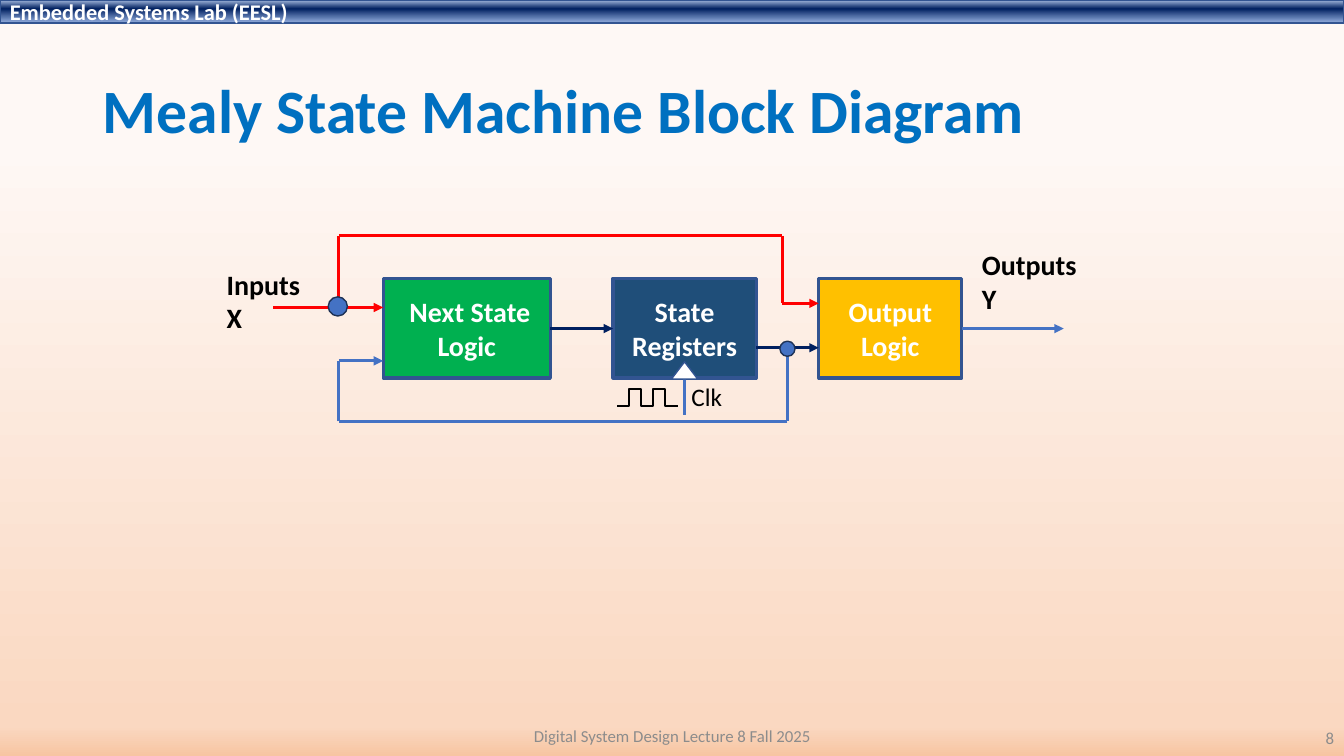
"""Build the Mealy state machine block diagram slide."""
from typing import NamedTuple, Optional

from lxml.etree import SubElement
from pptx import Presentation
from pptx.dml.color import RGBColor
from pptx.enum.shapes import MSO_CONNECTOR, MSO_SHAPE
from pptx.enum.text import MSO_ANCHOR, MSO_AUTO_SIZE, PP_ALIGN
from pptx.oxml.ns import qn
from pptx.util import Inches, Pt

COLUMNS, ROWS = 133.3, 75
SLIDE_WIDTH, SLIDE_HEIGHT = Inches(13.33), Inches(7.5)
FONT = "Calibri"
COLORS = {
    "title": "0070C0", "white": "FFFFFF", "black": "000000", "footer": "8C8C8C",
    "next_state": "00B050", "registers": "1F4E79", "output": "FFC000",
    "outline": "325491", "input_path": "FF0000", "state_path": "002060",
    "feedback": "4472C4", "node_edge": "1E3256",
}
BACKGROUND_STOPS = [(19, "FEF8F5", 97), (96, "FAD8C1", 100), (100, "F7C5A2", 100)]
BANNER_STOPS = [(2, "ABC0E4", 100), (38, "002060", 100), (93, "7E9ED6", 87)]


class Area(NamedTuple):
    column: float
    row: float
    columns: float
    rows: float


class Figure(NamedTuple):
    preset: MSO_SHAPE
    area: Area
    fill: str
    edge: str = "outline"
    edge_width: float = 1
    caption: str = ""


class Wire(NamedTuple):
    points: list
    color: str
    arrow: bool = False
    width: float = 2.25
    route: MSO_CONNECTOR = MSO_CONNECTOR.STRAIGHT


class Label(NamedTuple):
    lines: list
    area: Area
    size: float
    color: str = "black"
    bold: bool = False
    wrap: bool = False
    align: Optional[PP_ALIGN] = None
    anchor: MSO_ANCHOR = MSO_ANCHOR.TOP


LOGIC_ROW, LOGIC_ROWS = 27.6, 9.9
MIDDLE_ROW = 32.6
TAP_COLUMN, STATE_COLUMN = 33.6, 78.1
BYPASS_COLUMN, BYPASS_ROW = 77.6, 23.4
INPUT_ROW, STATE_ROW, FEEDBACK_ROW = 30.5, 34.5, 41.8
PULSE_COLUMN, PULSE_STEP, PULSE_HIGH, PULSE_LOW = 61.2, 1.2, 38.6, 40.3


def logic_block(column: float, columns: float, fill: str, caption: str) -> Figure:
    return Figure(MSO_SHAPE.RECTANGLE, Area(column, LOGIC_ROW, columns, LOGIC_ROWS),
                  fill, edge_width=2.25, caption=caption)


def node(column: float, row: float, size: float) -> Figure:
    return Figure(MSO_SHAPE.OVAL, Area(column - size / 2, row - size / 2, size, size),
                  "feedback", "node_edge")


def pulse_edge(step: int) -> Wire:
    start = PULSE_COLUMN + step * PULSE_STEP
    rows = (PULSE_LOW, PULSE_HIGH) if step % 2 == 0 else (PULSE_HIGH, PULSE_LOW)
    return Wire([(start, rows[0]), (start + 2 * PULSE_STEP, rows[1])],
                "black", width=1.5, route=MSO_CONNECTOR.ELBOW)


LOGIC_BLOCKS = [
    logic_block(38, 16.6, "next_state", " Next State Logic"),
    logic_block(60.8, 14.2, "registers", "State Registers"),
    logic_block(81.2, 14.2, "output", "Output Logic"),
]
WIRES = [
    Wire([(27.1, INPUT_ROW), (38, INPUT_ROW)], "input_path", True),
    Wire([(TAP_COLUMN, INPUT_ROW), (TAP_COLUMN, BYPASS_ROW), (BYPASS_COLUMN, BYPASS_ROW),
          (BYPASS_COLUMN, 30.1), (81.2, 30.1)], "input_path", True),
    Wire([(75, STATE_ROW), (81.2, STATE_ROW)], "state_path", True),
    Wire([(STATE_COLUMN, STATE_ROW), (STATE_COLUMN, FEEDBACK_ROW),
          (TAP_COLUMN, FEEDBACK_ROW), (TAP_COLUMN, 35.8), (38, 35.8)], "feedback", True),
    Wire([(54.6, MIDDLE_ROW), (60.8, MIDDLE_ROW)], "state_path", True),
    Wire([(95.4, MIDDLE_ROW), (105.5, MIDDLE_ROW)], "feedback", True),
    Wire([(67.9, 37.6), (67.9, 41.2)], "feedback"),
    *map(pulse_edge, range(4)),
]
MARKERS = [
    Figure(MSO_SHAPE.ISOSCELES_TRIANGLE, Area(66.6, 35.9, 2.6, 1.7), "white"),
    node(STATE_COLUMN, 34.6, 1.5),
    node(TAP_COLUMN - 0.1, 30.4, 1.9),
]
LABELS = [
    Label(["Inputs", "X"], Area(21.5, 26, 9.4, 7.7), 20, bold=True),
    Label(["Outputs", "Y"], Area(96.4, 24.1, 11.5, 7.7), 20, bold=True),
    Label(["Clk"], Area(67.6, 37.3, 5.1, 4), 18),
    Label(["Digital System Design Lecture 8 Fall 2025"], Area(44.2, 71, 45, 4), 12,
          "footer", wrap=True, align=PP_ALIGN.CENTER, anchor=MSO_ANCHOR.MIDDLE),
    Label(["8"], Area(103.3, 71.2, 30, 4), 12,
          "footer", wrap=True, align=PP_ALIGN.RIGHT, anchor=MSO_ANCHOR.MIDDLE),
]


def across(column: float) -> int:
    return round(SLIDE_WIDTH * column / COLUMNS)


def down(row: float) -> int:
    return round(SLIDE_HEIGHT * row / ROWS)


def place(area: Area) -> tuple:
    return across(area.column), down(area.row), across(area.columns), down(area.rows)


def rgb(name: str) -> RGBColor:
    return RGBColor.from_string(COLORS[name])


def style(paragraph, size: float, color: str, bold: bool, align=None) -> None:
    paragraph.alignment = align
    font = paragraph.font
    font.name, font.size, font.bold = FONT, Pt(size), bold
    font.color.rgb = rgb(color)


def blend(fill, owner, stops: list) -> None:
    fill.gradient()
    fill.gradient_angle = 270
    stop_list = owner.find(".//" + qn("a:gsLst"))
    for default_stop in list(stop_list):
        stop_list.remove(default_stop)
    for position, color, opacity in stops:
        stop = SubElement(stop_list, qn("a:gs"), pos=str(position * 1000))
        tone = SubElement(stop, qn("a:srgbClr"), val=color)
        SubElement(tone, qn("a:alpha"), val=str(opacity * 1000))


def draw_figure(slide, figure: Figure, text_size: float = 20, align=PP_ALIGN.CENTER):
    shape = slide.shapes.add_shape(figure.preset, *place(figure.area))
    shape.shadow.inherit = False
    shape.fill.solid()
    shape.fill.fore_color.rgb = rgb(figure.fill)
    shape.line.color.rgb = rgb(figure.edge)
    shape.line.width = Pt(figure.edge_width)
    if figure.caption:
        shape.text_frame.text = figure.caption
        shape.text_frame.vertical_anchor = MSO_ANCHOR.MIDDLE
        style(shape.text_frame.paragraphs[0], text_size, "white", True, align)
    return shape


def draw_wire(slide, wire: Wire) -> None:
    for begin, end in zip(wire.points, wire.points[1:]):
        segment = slide.shapes.add_connector(
            wire.route, across(begin[0]), down(begin[1]), across(end[0]), down(end[1]))
        segment.line.color.rgb = rgb(wire.color)
        segment.line.width = Pt(wire.width)
        properties = segment._element.spPr
        if wire.arrow and end == wire.points[-1]:
            SubElement(properties.find(qn("a:ln")), qn("a:tailEnd"), type="triangle")
        SubElement(properties, qn("a:effectLst"))


def draw_label(slide, label: Label) -> None:
    frame = slide.shapes.add_textbox(*place(label.area)).text_frame
    frame.word_wrap = label.wrap
    frame.vertical_anchor = label.anchor
    frame.text = "\n".join(label.lines)
    for paragraph in frame.paragraphs:
        style(paragraph, label.size, label.color, label.bold, label.align)


def main() -> None:
    deck = Presentation()
    deck.slide_width, deck.slide_height = SLIDE_WIDTH, SLIDE_HEIGHT
    slide = deck.slides.add_slide(deck.slide_layouts[5])
    blend(slide.background.fill, slide._element, BACKGROUND_STOPS)

    title = slide.shapes.title
    title.left, title.top, title.width, title.height = place(Area(9.2, 4, 115, 14.5))
    title.text_frame.text = "Mealy State Machine Block Diagram"
    title.text_frame.vertical_anchor = MSO_ANCHOR.MIDDLE
    title.text_frame.auto_size = MSO_AUTO_SIZE.NONE
    heading = title.text_frame.paragraphs[0]
    heading.line_spacing = 0.9
    style(heading, 44, "title", True, PP_ALIGN.LEFT)

    banner = draw_figure(slide, Figure(
        MSO_SHAPE.RECTANGLE, Area(0, 0, COLUMNS, 2.3), "state_path",
        caption="Embedded Systems Lab (EESL)"), 16, PP_ALIGN.LEFT)
    blend(banner.fill, banner._element, BANNER_STOPS)

    for block in LOGIC_BLOCKS:
        draw_figure(slide, block)
    for wire in WIRES:
        draw_wire(slide, wire)
    for marker in MARKERS:
        draw_figure(slide, marker)
    for label in LABELS:
        draw_label(slide, label)
    deck.save("out.pptx")


if __name__ == "__main__":
    main()
